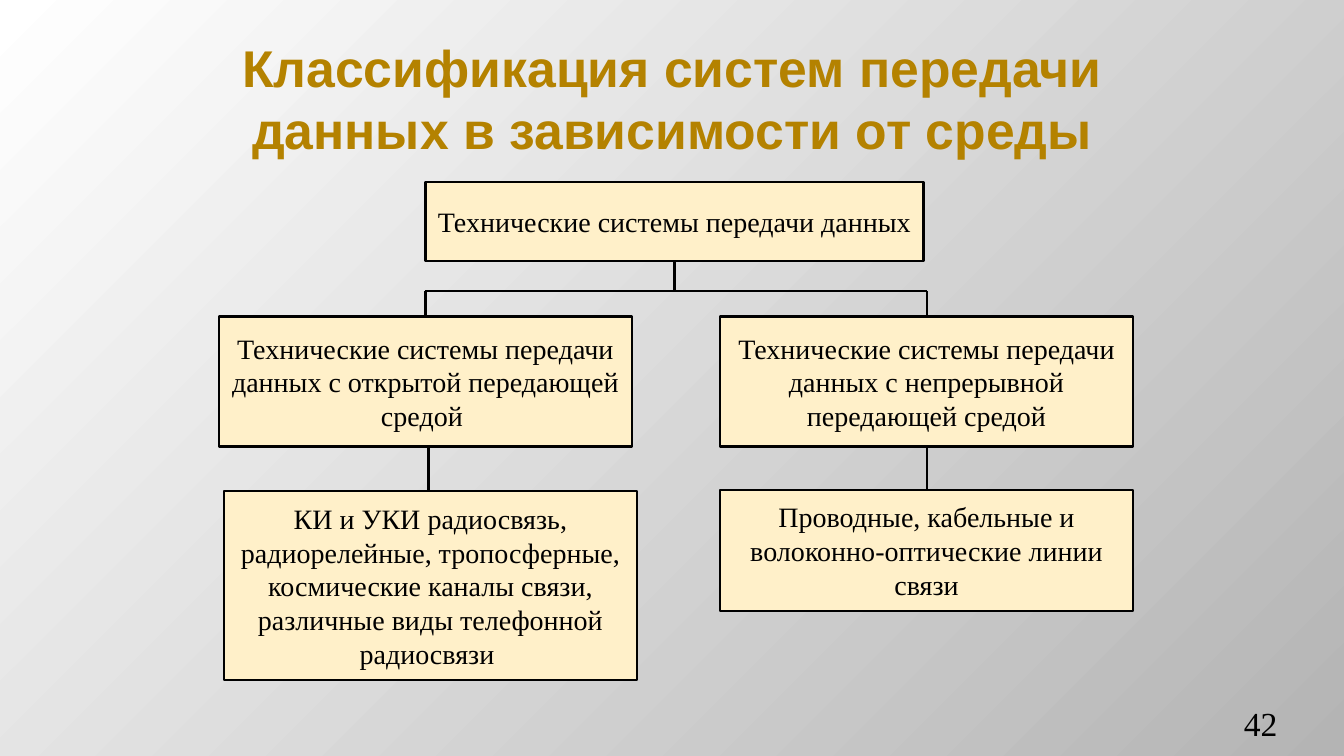
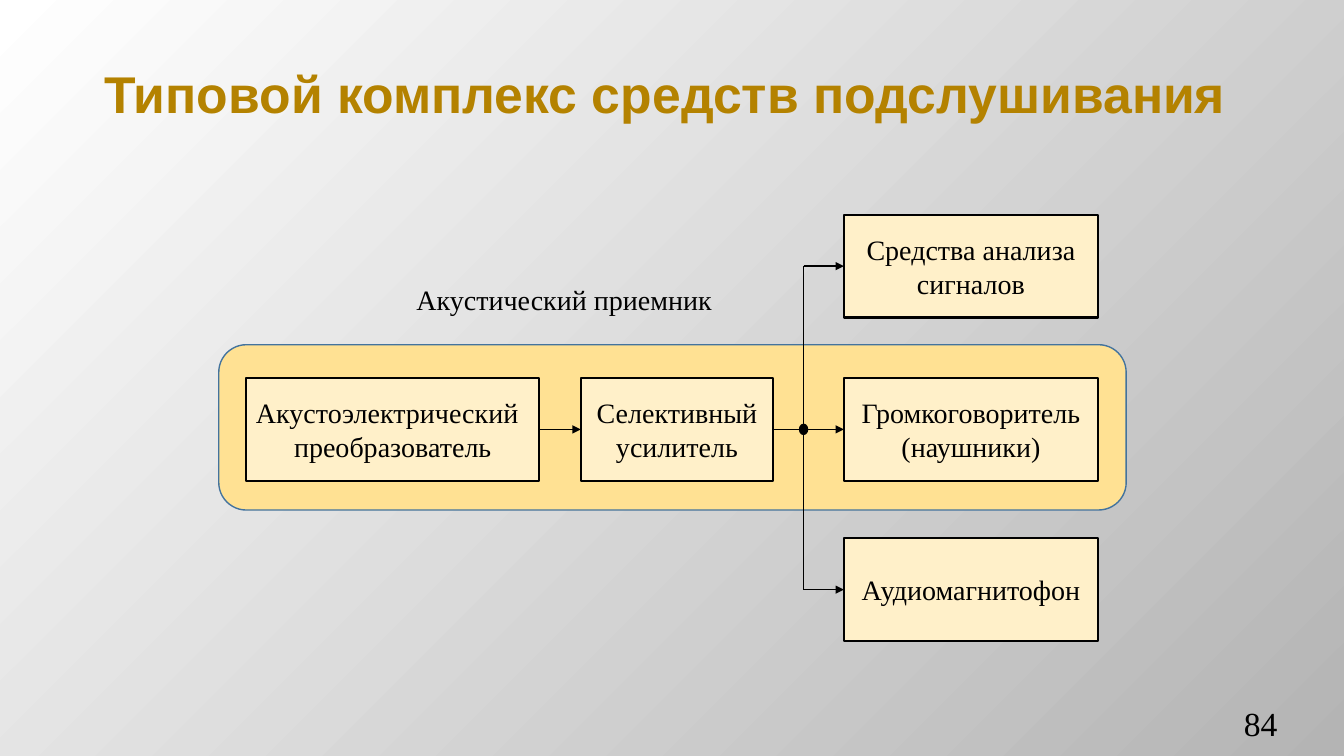
from dataclasses import dataclass

from lxml import etree
from pptx import Presentation
from pptx.dml.color import RGBColor
from pptx.enum.shapes import MSO_CONNECTOR, MSO_SHAPE
from pptx.enum.text import MSO_ANCHOR, PP_ALIGN
from pptx.oxml.ns import qn
from pptx.util import Pt

PX = 9144  # EMU in one px, 100 px to the inch
WIDE, HIGH = 1333, 750
RECT, ROUND, OVAL = MSO_SHAPE.RECTANGLE, MSO_SHAPE.ROUNDED_RECTANGLE, MSO_SHAPE.OVAL
LINE = MSO_CONNECTOR.STRAIGHT
CENTER, RIGHT, FULL = PP_ALIGN.CENTER, PP_ALIGN.RIGHT, PP_ALIGN.JUSTIFY
MIDDLE, LOW = MSO_ANCHOR.MIDDLE, MSO_ANCHOR.BOTTOM
TOP, LEFT, BOTTOM, EAST = range(4)


@dataclass(frozen=True)
class Theme:
    head: str = "Arial"
    body: str = "Times New Roman"
    gold: str = "B48200"
    ink: str = "000000"
    cream: str = "FFF0C9"
    amber: str = "FFE193"
    blue: str = "43739E"
    white: str = "FFFFFF"
    gray: str = "B4B4B4"
    title: float = 36.9
    text: float = 20
    num: float = 24
    edge: float = 1.5
    thin: float = 1


T = Theme()


def emu(*px):
    return [n * PX for n in px]


def rgb(code):
    return RGBColor.from_string(code)


def paint(master):
    """Give every slide the gradient that spreads from the top left corner."""
    fill = master.background.fill
    fill.gradient()
    for stop, color, pos in zip(fill.gradient_stops, (T.white, T.gray), (0, 1)):
        stop.color.rgb = rgb(color)
        stop.position = pos
    grad = master.element.find(".//" + qn("a:gradFill"))
    grad.remove(grad.find(qn("a:lin")))
    ring = etree.SubElement(grad, qn("a:path"))
    ring.set("path", "circle")
    etree.SubElement(ring, qn("a:fillToRect"), r="100000", b="100000")


def write(shape, text, size=T.text, font=T.body, color=T.ink, bold=False,
          align=CENTER, anchor=MIDDLE):
    frame = shape.text_frame
    frame.word_wrap = True
    frame.vertical_anchor = anchor
    frame.text = text
    for para in frame.paragraphs:
        para.alignment = align
        for run in para.runs:
            run.font.size = Pt(size)
            run.font.name = font
            run.font.bold = bold
            run.font.color.rgb = rgb(color)
    return frame


def label(slide, box, text, **style):
    return write(slide.shapes.add_textbox(*emu(*box)), text, **style)


def block(slide, box, text="", kind=RECT, fill=T.cream, line=T.ink, edge=T.edge):
    shape = slide.shapes.add_shape(kind, *emu(*box))
    shape.shadow.inherit = False
    shape.fill.solid()
    shape.fill.fore_color.rgb = rgb(fill)
    shape.line.color.rgb = rgb(line)
    shape.line.width = Pt(edge)
    if text:
        write(shape, text)
    return shape


def link(slide, start, end, tail=None, head=None, edge=T.edge, arrow=False):
    """Draw a line; tail and head are (shape, side) pairs to join it to."""
    line = slide.shapes.add_connector(LINE, *emu(*start, *end))
    if tail:
        line.begin_connect(*tail)
    if head:
        line.end_connect(*head)
    line.line.color.rgb = rgb(T.ink)
    line.line.width = Pt(edge)
    if arrow:
        etree.SubElement(line.line._get_or_add_ln(), qn("a:tailEnd"), type="triangle")
    etree.SubElement(line._element.spPr, qn("a:effectLst"))


def page(deck, title, box, num):
    slide = deck.slides.add_slide(deck.slide_layouts[6])
    label(slide, box, title, size=T.title, font=T.head, color=T.gold, bold=True)
    foot = label(slide, (1156, 702, 111, 40), num, size=T.num, align=RIGHT, anchor=LOW)
    foot.margin_left = foot.margin_right = 0
    return slide


def tree(slide, box):
    x, y, wide, _ = box
    col = 410
    mid, east = x + 452, x + wide - col
    bar = y + 108
    root = block(slide, (mid - 247, y, 494, 78), "Технические системы передачи данных ")
    open_ = block(slide, (x, y + 133, col, 129),
                  "Технические системы передачи данных с открытой передающей средой ")
    solid = block(slide, (east, y + 133, col, 129),
                  "Технические системы передачи данных с непрерывной передающей средой")
    block(slide, (x + 5, y + 306, col, 188),
          "КИ и УКИ радиосвязь, радиорелейные, тропосферные, космические каналы связи, "
          "различные виды телефонной радиосвязи ")
    wires = block(slide, (east, y + 305, col, 120),
                  "Проводные, кабельные и волоконно-оптические линии связи")
    west, far = x + col // 2, east + col // 2
    link(slide, (west, bar), (far, bar))
    link(slide, (mid, y + 78), (mid, bar), tail=(root, BOTTOM))
    for shape, at in ((open_, west), (solid, far)):
        link(slide, (at, bar), (at, y + 133), head=(shape, TOP))
    link(slide, (west + 3, y + 262), (west + 3, y + 306))
    link(slide, (far, y + 262), (far, y + 305), (solid, BOTTOM), (wires, TOP))


def chain(slide, box):
    x, y, wide, _ = box
    high, row = 102, y + 162
    mid = row + high // 2
    block(slide, (x, y + 129, wide, 164), kind=ROUND, fill=T.amber, line=T.blue, edge=T.thin)
    sensor = block(slide, (x + 27, row, 291, high), "Акустоэлектрический\nпреобразователь")
    sensor.text_frame.paragraphs[0].alignment = FULL
    amp = block(slide, (x + 359, row, 191, high), "Селективный усилитель")
    out, fork = x + 620, x + 580
    tops = y, row, y + 321
    names = "Средства анализа сигналов", "Громкоговоритель\n(наушники)", "Аудиомагнитофон"
    ends = [block(slide, (out, top, 252, high), name) for top, name in zip(tops, names)]
    thin = {"edge": T.thin, "arrow": True}
    link(slide, (x + 318, mid), (x + 359, mid), (sensor, EAST), (amp, LEFT), **thin)
    for top, shape in zip(tops, ends):
        level = top + high // 2
        tail = (amp, EAST) if top == row else None
        link(slide, (fork, level), (out, level), tail, (shape, LEFT), **thin)
    link(slide, (fork, tops[0] + high // 2), (fork, tops[2] + high // 2), edge=T.thin)
    block(slide, (fork - 4, mid - 5, 8, 10), kind=OVAL, fill=T.ink, edge=T.thin)
    label(slide, (x + 152, y + 50, 381, 68), "Акустический приемник")


def main():
    deck = Presentation()
    deck.slide_width, deck.slide_height = emu(WIDE, HIGH)
    paint(deck.slide_master)
    slide = page(deck, "Классификация систем передачи данных в зависимости от среды",
                 (217, 35, 900, 125), "42")
    tree(slide, (217, 181, 907, 494))
    slide = page(deck, "Типовой комплекс средств подслушивания ", (67, 30, 1200, 125), "84")
    chain(slide, (217, 213, 900, 423))
    deck.save("out.pptx")


if __name__ == "__main__":
    main()
